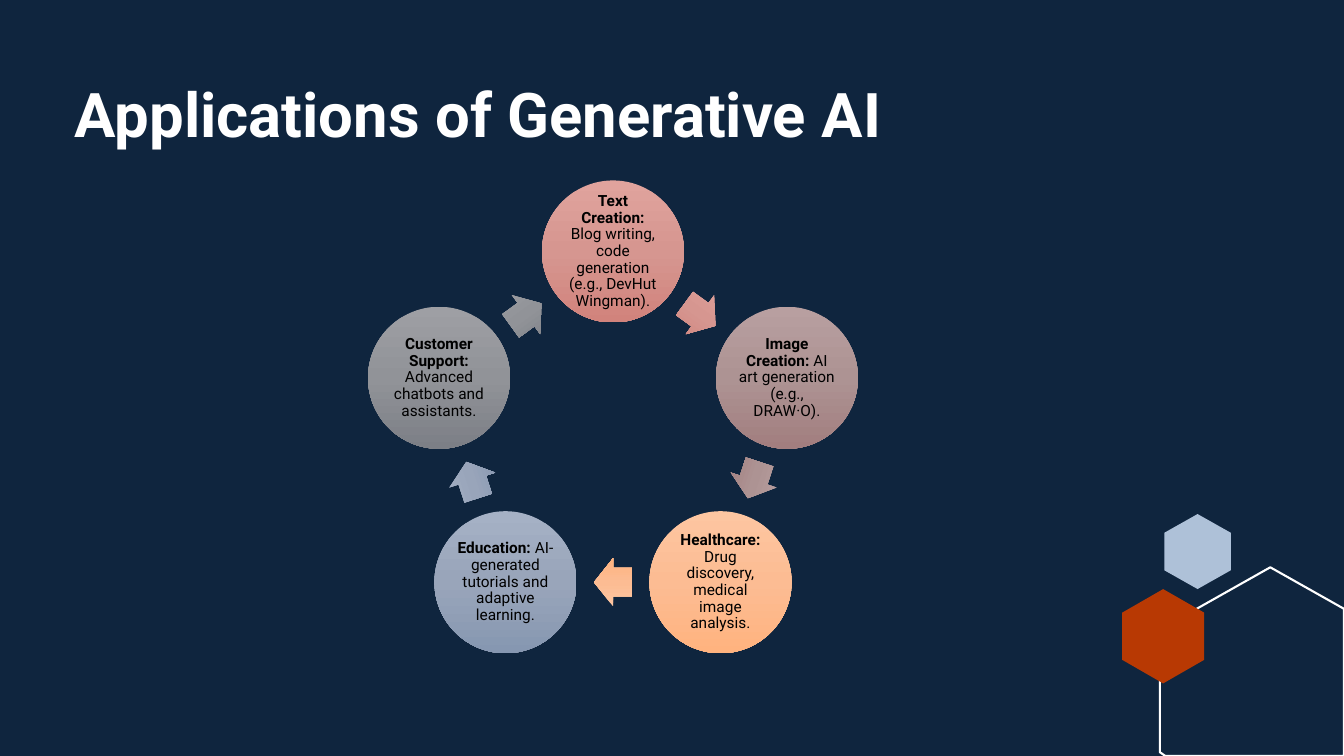
import copy
import math

import pptx
import pptx.dml.color
import pptx.enum.dml
import pptx.enum.shapes
import pptx.enum.text
import pptx.util

RGBColor = pptx.dml.color.RGBColor
MSO_SHAPE = pptx.enum.shapes.MSO_SHAPE
Inches = pptx.util.Inches

SLIDE_WIDTH, SLIDE_HEIGHT = 13.33, 7.5
FONT = "Roboto"
NAVY = RGBColor(0x0F, 0x25, 0x3E)
WHITE = RGBColor(0xFF, 0xFF, 0xFF)
BLACK = RGBColor(0x00, 0x00, 0x00)
PALE_BLUE = RGBColor(0xAE, 0xC1, 0xD8)
RUST = RGBColor(0xB8, 0x39, 0x03)
ROSE = (RGBColor(0xE0, 0xA3, 0x9D), RGBColor(0xD6, 0x96, 0x90), RGBColor(0xD1, 0x83, 0x7C))
MAUVE = (RGBColor(0xB8, 0x9F, 0xA0), RGBColor(0xAD, 0x93, 0x93), RGBColor(0xA2, 0x7E, 0x7F))
PEACH = (RGBColor(0xFD, 0xC6, 0xA1), RGBColor(0xFC, 0xBC, 0x93), RGBColor(0xFF, 0xB3, 0x7F))
STEEL = (RGBColor(0xA5, 0xB1, 0xC5), RGBColor(0x99, 0xA5, 0xBA), RGBColor(0x86, 0x97, 0xB1))
GRAY = (RGBColor(0x9E, 0x9F, 0xA4), RGBColor(0x91, 0x93, 0x98), RGBColor(0x7C, 0x7F, 0x86))

APPLICATIONS = [
    ("Text Creation:", " Blog writing, code generation (e.g., DevHut Wingman).", ROSE),
    ("Image Creation:", " AI art generation (e.g., DRAW·O).", MAUVE),
    ("Healthcare:", " Drug discovery, medical image analysis.", PEACH),
    ("Education:", " AI-generated tutorials and adaptive learning.", STEEL),
    ("Customer Support:", " Advanced chatbots and assistants.", GRAY),
]

HEXAGON = [(0.5, 0), (1, 0.25), (1, 0.75), (0.5, 1), (0, 0.75), (0, 0.25)]
CUT_HEXAGON = [(0.6, 0), (1, 0.22), (1, 1), (0.03, 1), (0, 0.98), (0, 0.33)]


def add_title(slide, box, text):
    title = slide.shapes.title
    title.left, title.top, title.width, title.height = map(Inches, box)
    frame = title.text_frame
    frame.text = text
    frame.word_wrap = True
    frame.auto_size = pptx.enum.text.MSO_AUTO_SIZE.NONE
    frame.vertical_anchor = pptx.enum.text.MSO_ANCHOR.TOP
    heading = frame.paragraphs[0]
    heading.alignment = pptx.enum.text.PP_ALIGN.LEFT
    heading.line_spacing = 0.9
    heading.font.name = FONT
    heading.font.size = pptx.util.Pt(44)
    heading.font.bold = True
    heading.font.color.rgb = WHITE


def add_polygon(slide, box, outline, fill=None, line=None):
    left, top, width, height = box
    points = [(Inches(left + x * width), Inches(top + y * height)) for x, y in outline]
    builder = slide.shapes.build_freeform(*points[0])
    builder.add_line_segments(points[1:])
    polygon = builder.convert_to_shape()
    polygon.shadow.inherit = False
    if fill is None:
        polygon.fill.background()
    else:
        polygon.fill.solid()
        polygon.fill.fore_color.rgb = fill
    if line is None:
        polygon.line.fill.background()
    else:
        polygon.line.color.rgb = line
        polygon.line.width = pptx.util.Pt(1.5)


def add_hexagons(slide, box):
    left, top, width, height = box

    def part(x, y, w, h):
        return left + x * width, top + y * height, w * width, h * height

    add_polygon(slide, part(0.19, 0, 0.3, 0.31), HEXAGON, fill=PALE_BLUE)
    add_polygon(slide, part(0.17, 0.22, 0.83, 0.78), CUT_HEXAGON, line=WHITE)
    add_polygon(slide, part(0, 0.31, 0.37, 0.39), HEXAGON, fill=RUST)


def add_gradient_shape(slide, preset, center, width, height, colors):
    x, y = center
    shape = slide.shapes.add_shape(
        preset, Inches(x - width / 2), Inches(y - height / 2), Inches(width), Inches(height))
    shape.shadow.inherit = False
    shape.line.fill.background()
    shape.fill.gradient()
    shape.fill.gradient_angle = 270
    first_stop = shape._element.spPr.find(".//" + pptx.oxml.ns.qn("a:gs"))
    first_stop.addnext(copy.deepcopy(first_stop))
    for stop, position, color in zip(shape.fill.gradient_stops, (0, 0.5, 1), colors):
        stop.position = position
        stop.color.rgb = color
    return shape


def add_label(circle, name, detail):
    frame = circle.text_frame
    frame.word_wrap = True
    frame.vertical_anchor = pptx.enum.text.MSO_ANCHOR.MIDDLE
    frame.margin_left = frame.margin_right = Inches(0.02)
    frame.margin_top = frame.margin_bottom = Inches(0.02)
    label = frame.paragraphs[0]
    label.alignment = pptx.enum.text.PP_ALIGN.CENTER
    label.line_spacing = 0.9
    label.font.name = FONT
    label.font.size = pptx.util.Pt(11)
    label.font.color.rgb = BLACK
    for text, bold in ((name, True), (detail, False)):
        run = label.add_run()
        run.text = text
        run.font.bold = bold


def add_cycle(slide, box, applications):
    left, top, width, height = box
    diameter = 0.29 * width
    radius = (width - diameter) / 2 / math.sin(math.radians(72))
    middle_x = left + width / 2
    middle_y = top + diameter / 2 + radius
    step = 360 / len(applications)
    arrow_radius = radius * math.cos(math.radians(step / 2))

    def on_ring(angle, distance):
        turn = math.radians(angle)
        return middle_x + distance * math.sin(turn), middle_y - distance * math.cos(turn)

    for index, (name, detail, colors) in enumerate(applications):
        angle = index * step
        circle = add_gradient_shape(
            slide, MSO_SHAPE.OVAL, on_ring(angle, radius), diameter, diameter, colors)
        add_label(circle, name, detail)
        arrow = add_gradient_shape(
            slide, MSO_SHAPE.RIGHT_ARROW, on_ring(angle + step / 2, arrow_radius),
            0.078 * width, 0.102 * height, colors)
        arrow.adjustments[0] = 0.6
        arrow.adjustments[1] = 0.5
        arrow.rotation = angle + step / 2


def main():
    presentation = pptx.Presentation()
    presentation.slide_width = Inches(SLIDE_WIDTH)
    presentation.slide_height = Inches(SLIDE_HEIGHT)
    slide = presentation.slides.add_slide(presentation.slide_layouts[5])
    slide.background.fill.solid()
    slide.background.fill.fore_color.rgb = NAVY
    add_hexagons(slide, (11.13, 5.1, 2.2, 2.4))
    add_title(slide, (0.64, 0.79, 11.91, 1.55), "Applications of Generative AI")
    add_cycle(slide, (3.65, 1.79, 4.86, 4.69), APPLICATIONS)
    presentation.save("out.pptx")


if __name__ == "__main__":
    main()
